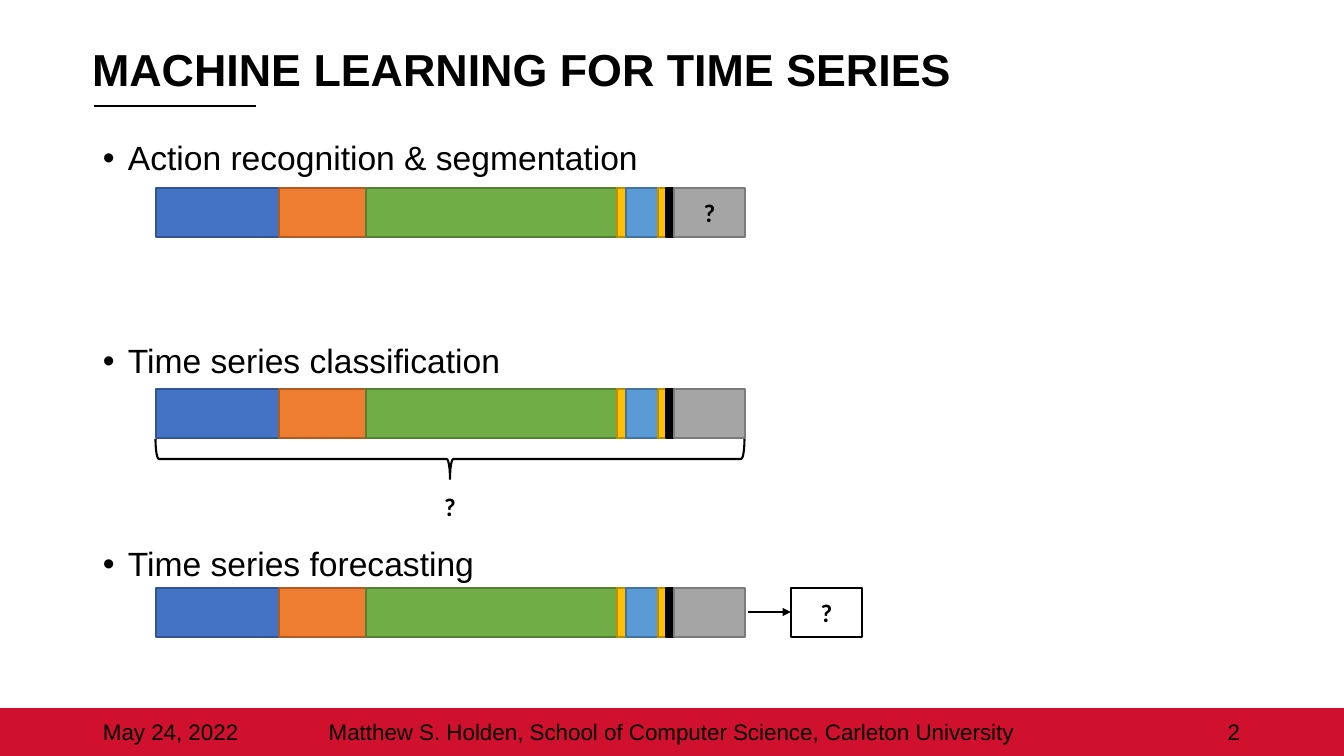
from lxml import etree
from pptx import Presentation
from pptx.dml.color import RGBColor
from pptx.enum.shapes import MSO_CONNECTOR, MSO_SHAPE
from pptx.enum.text import MSO_ANCHOR, MSO_AUTO_SIZE, PP_ALIGN
from pptx.oxml.ns import qn
from pptx.util import Emu, Pt

LEFT, CENTER, RIGHT = PP_ALIGN.LEFT, PP_ALIGN.CENTER, PP_ALIGN.RIGHT
TOP, MIDDLE = MSO_ANCHOR.TOP, MSO_ANCHOR.MIDDLE
RECTANGLE, BRACE = MSO_SHAPE.RECTANGLE, MSO_SHAPE.RIGHT_BRACE

BLACK = RGBColor(0x00, 0x00, 0x00)
WHITE = RGBColor(0xFF, 0xFF, 0xFF)
RED = RGBColor(0xCF, 0x11, 0x2D)
BLUE, DARK_BLUE = RGBColor(0x44, 0x72, 0xC4), RGBColor(0x32, 0x54, 0x91)
ORANGE, DARK_ORANGE = RGBColor(0xED, 0x7D, 0x31), RGBColor(0xAF, 0x5C, 0x24)
GREEN, DARK_GREEN = RGBColor(0x70, 0xAD, 0x47), RGBColor(0x53, 0x80, 0x35)
GOLD, DARK_GOLD = RGBColor(0xFF, 0xC0, 0x00), RGBColor(0xBD, 0x8E, 0x00)
SKY, DARK_SKY = RGBColor(0x5B, 0x9B, 0xD5), RGBColor(0x43, 0x73, 0x9E)
GRAY, DARK_GRAY = RGBColor(0xA5, 0xA5, 0xA5), RGBColor(0x7A, 0x7A, 0x7A)

TITLE = "MACHINE LEARNING FOR TIME SERIES"
TASKS = ["Action recognition & segmentation", "Time series classification",
         "Time series forecasting"]
UNKNOWN = "?"
FOOTERS = [  # text, left, width, alignment
    ("May 24, 2022", 93, 188, LEFT),
    ("Matthew S. Holden, School of Computer Science, Carleton University", 281, 781, CENTER),
    ("2", 1062, 188, RIGHT),
]
SEGMENTS = [  # width, fill, outline
    (123, BLUE, DARK_BLUE), (87, ORANGE, DARK_ORANGE), (251, GREEN, DARK_GREEN),
    (9, GOLD, DARK_GOLD), (32, SKY, DARK_SKY), (8, GOLD, DARK_GOLD),
    (8, BLACK, BLACK), (71, GRAY, DARK_GRAY),
]
BAR_TOPS = RECOGNITION_TOP, CLASSIFICATION_TOP, FORECAST_TOP = 188, 389, 588
BAR_LEFT, BAR_HEIGHT = 156, 49
BAR_WIDTH = sum(width for width, _, _ in SEGMENTS)
BAR_RIGHT = BAR_LEFT + BAR_WIDTH
BAR_CENTER = BAR_LEFT + BAR_WIDTH // 2
BRACE_DEPTH = 40
FORECAST_LEFT, FORECAST_WIDTH = 791, 71
SLIDE_WIDTH, SLIDE_HEIGHT, FOOTER_TOP = 1344, 756, 709
BULLET_INDENT = 25


def px(length):
    return Emu(round(length * 914400 / 100.8))


def box(*lengths):
    return [px(length) for length in lengths]


def write(shape, lines, size, font="Arial", bold=False, align=LEFT, anchor=MIDDLE):
    frame = shape.text_frame
    frame.text = "\n".join(lines)
    frame.auto_size = MSO_AUTO_SIZE.NONE
    frame.word_wrap = True
    frame.vertical_anchor = anchor
    for paragraph in frame.paragraphs:
        paragraph.alignment = align
        for run in paragraph.runs:
            run.font.name, run.font.size, run.font.bold = font, Pt(size), bold
            run.font.color.rgb = BLACK


def write_unknown(shape):
    write(shape, [UNKNOWN], 18, font="Calibri", bold=True, align=CENTER)


def add_block(shapes, left, top, width, height, fill, outline):
    block = shapes.add_shape(RECTANGLE, *box(left, top, width, height))
    block.shadow.inherit = False
    block.fill.solid()
    block.fill.fore_color.rgb = fill
    block.line.color.rgb = outline
    block.line.width = Pt(1)
    return block


def add_bar(shapes, top):
    """Add one grouped time series and return its last segment."""
    group = shapes.add_group_shape()
    left = BAR_LEFT
    for width, fill, outline in SEGMENTS:
        segment = add_block(group.shapes, left, top, width, BAR_HEIGHT, fill, outline)
        left += width
    return segment


def add_line(shapes, start, end, y):
    line = shapes.add_connector(MSO_CONNECTOR.STRAIGHT, *box(start, y, end, y))
    line.line.color.rgb = BLACK
    line.line.width = Pt(1.5)
    etree.SubElement(line._element.spPr, qn("a:effectLst"))
    return line


def add_bullet(paragraph):
    properties = paragraph._p.get_or_add_pPr()
    properties.set("marL", str(px(BULLET_INDENT)))
    properties.set("indent", str(-px(BULLET_INDENT)))
    etree.SubElement(properties, qn("a:buFont"), typeface="Arial")
    etree.SubElement(properties, qn("a:buChar"), char="•")


def add_frame(slide):
    """Add the title with its rule, and the footer band."""
    shapes = slide.shapes
    add_block(shapes, 0, FOOTER_TOP, SLIDE_WIDTH, SLIDE_HEIGHT - FOOTER_TOP, RED, RED)
    add_line(shapes, 94, 256, 106)
    title = shapes.title
    title.left, title.top, title.width, title.height = box(82, 39, 918, 66)
    write(title, [TITLE], 32, bold=True)
    title.text_frame.paragraphs[0].line_spacing = 0.9
    for text, left, width, align in FOOTERS:
        footer = shapes.add_textbox(*box(left, 712, width, 40))
        write(footer, [text], 16, align=align)


def add_tasks(shapes):
    tasks = shapes.add_textbox(*box(93, 137, 1159, 552))
    write(tasks, TASKS, 24, anchor=TOP)
    for index, paragraph in enumerate(tasks.text_frame.paragraphs):
        paragraph.line_spacing = 0.9
        paragraph.space_before = Pt(119 if index else 0)
        add_bullet(paragraph)


def add_diagrams(shapes):
    last_segments = [add_bar(shapes, top) for top in BAR_TOPS]
    write_unknown(last_segments[0])

    brace_middle = CLASSIFICATION_TOP + BAR_HEIGHT + BRACE_DEPTH / 2 + 1
    brace = shapes.add_shape(BRACE, *box(
        BAR_CENTER - BRACE_DEPTH / 2, brace_middle - BAR_WIDTH / 2, BRACE_DEPTH, BAR_WIDTH))
    brace.rotation = 90
    brace.shadow.inherit = False
    brace.fill.background()
    brace.line.color.rgb = BLACK
    brace.line.width = Pt(1.5)
    label = shapes.add_textbox(*box(BAR_CENTER - 16, 486, 32, 40))
    write_unknown(label)
    label.text_frame.word_wrap = False

    arrow = add_line(shapes, BAR_RIGHT + 3, FORECAST_LEFT, FORECAST_TOP + BAR_HEIGHT // 2)
    etree.SubElement(arrow.line._get_or_add_ln(), qn("a:tailEnd"), type="triangle")
    forecast = add_block(shapes, FORECAST_LEFT, FORECAST_TOP, FORECAST_WIDTH, BAR_HEIGHT,
                         WHITE, BLACK)
    write_unknown(forecast)


def main():
    presentation = Presentation()
    presentation.slide_width, presentation.slide_height = box(SLIDE_WIDTH, SLIDE_HEIGHT)
    slide = presentation.slides.add_slide(presentation.slide_layouts[5])
    add_frame(slide)
    add_tasks(slide.shapes)
    add_diagrams(slide.shapes)
    presentation.save("out.pptx")


if __name__ == "__main__":
    main()
